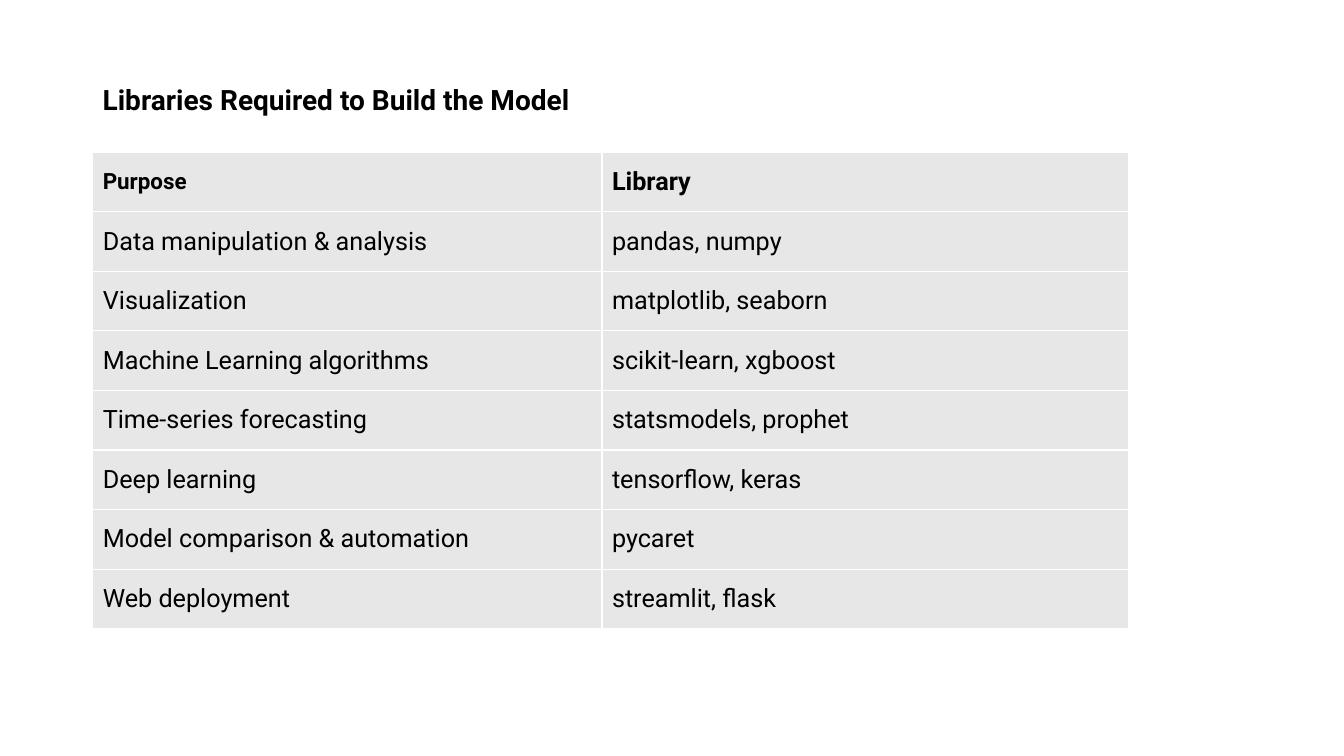
from dataclasses import dataclass

from lxml import etree
from pptx import Presentation
from pptx.dml import color as c
from pptx.enum import text as t
from pptx.oxml import ns
from pptx.util import Inches, Pt


@dataclass(frozen=True)
class Theme:
    font: str = "Roboto"
    ink: str = "000000"
    fill: str = "E7E7E7"
    rule: str = "FFFFFF"
    line: float = 1
    title: float = 20
    body: float = 18
    small: float = 16


THEME = Theme()

ROWS = [
    ("Purpose", "Library"),
    ("Data manipulation & analysis", "pandas, numpy"),
    ("Visualization", "matplotlib, seaborn"),
    ("Machine Learning algorithms", "scikit-learn, xgboost"),
    ("Time-series forecasting", "statsmodels, prophet"),
    ("Deep learning", "tensorflow, keras"),
    ("Model comparison & automation", "pycaret"),
    ("Web deployment", "streamlit, flask"),
]


def write(frame, words, size=THEME.body, bold=False, ink=THEME.ink):
    """Put one formatted line of text in a frame."""
    run = frame.paragraphs[0].add_run()
    run.text = words
    run.font.name = THEME.font
    run.font.size = Pt(size)
    run.font.bold = bold
    run.font.color.rgb = c.RGBColor.from_string(ink)


def edge(cell):
    """Draw the same thin rule on each side of a cell."""
    props = cell._tc.get_or_add_tcPr()
    for side in ("a:lnL", "a:lnR", "a:lnT", "a:lnB"):
        line = etree.SubElement(props, ns.qn(side), w=str(Pt(THEME.line)))
        solid = etree.SubElement(line, ns.qn("a:solidFill"))
        etree.SubElement(solid, ns.qn("a:srgbClr"), val=THEME.rule)


def add_title(slide, words, left, top, width, height):
    box = slide.shapes.add_textbox(
        Inches(left), Inches(top), Inches(width), Inches(height))
    frame = box.text_frame
    frame.word_wrap = True
    frame.auto_size = t.MSO_AUTO_SIZE.SHAPE_TO_FIT_TEXT
    write(frame, words, size=THEME.title, bold=True)


def add_grid(slide, rows, left, top, widths, height):
    table = slide.shapes.add_table(
        len(rows), len(widths), Inches(left), Inches(top),
        Inches(sum(widths)), Inches(height)).table
    table.horz_banding = False

    # Column widths and equal rows
    for col, width in zip(table.columns, widths):
        col.width = Inches(width)
    for row in table.rows:
        row.height = Inches(height / len(rows))

    # Cells: bold header, with a smaller first label
    for i, row in enumerate(rows):
        for j, words in enumerate(row):
            cell = table.cell(i, j)
            edge(cell)
            cell.fill.solid()
            cell.fill.fore_color.rgb = c.RGBColor.from_string(THEME.fill)
            cell.vertical_anchor = t.MSO_ANCHOR.MIDDLE
            size = THEME.small if i == j == 0 else THEME.body
            write(cell.text_frame, words, size=size, bold=i == 0)


def main():
    deck = Presentation()
    deck.slide_width, deck.slide_height = Inches(13.33), Inches(7.5)
    slide = deck.slides.add_slide(deck.slide_layouts[6])

    # Table and heading share a left edge
    left = 0.92
    add_grid(slide, ROWS, left, 1.51, (5.05, 5.22), 4.73)
    add_title(slide, "Libraries Required to Build the Model",
              left, 0.77, 6.67, 0.44)
    deck.save("out.pptx")


if __name__ == "__main__":
    main()
